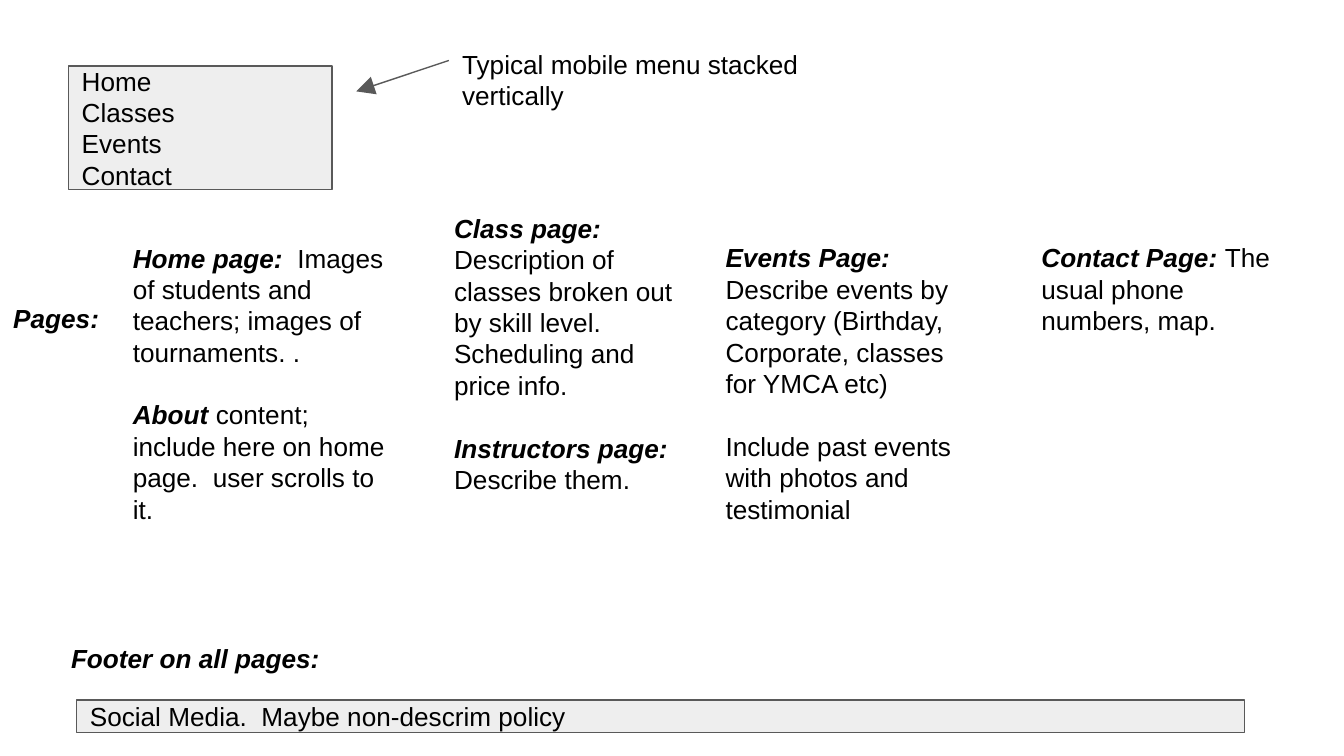
from lxml.etree import SubElement
from pptx import Presentation
from pptx.dml.color import RGBColor
from pptx.enum.shapes import MSO_CONNECTOR, MSO_SHAPE
from pptx.enum.text import MSO_ANCHOR, PP_ALIGN
from pptx.oxml.ns import qn
from pptx.util import Inches, Pt

WIDTH = 10
HEIGHT = WIDTH * 9 / 16
INSET = 0.1
BLACK, GREY, PALE = "000000", "595959", "EEEEEE"

# Each paragraph is a bold italic heading followed by plain text
COLUMNS = [
    ((0.89, 1.7, 2.14, 1.02), [
        ("Home page:  ", "Images of students and teachers; images of tournaments. . "),
        ("About ", "content; include here on home page.  user scrolls to it."),
    ]),
    ((3.28, 1.48, 1.91, 1.35), [
        ("Class page:", " Description of classes broken out by skill level.  "
                        "Scheduling and price info. "),
        ("Instructors page: ", "Describe them."),
    ]),
    ((5.3, 1.7, 1.91, 1.76), [
        ("Events Page: ", "Describe events by category (Birthday, Corporate, "
                          "classes for YMCA etc)"),
        ("", "Include past events with photos and testimonial"),
    ]),
    ((7.65, 1.7, 1.91, 1.76), [
        ("Contact Page: ", "The usual phone numbers, map."),
    ]),
]


def colour(value):
    return RGBColor.from_string(value)


def write(shape, paragraphs, gap=0, anchor=MSO_ANCHOR.TOP):
    frame = shape.text_frame
    frame.word_wrap = True
    frame.vertical_anchor = anchor
    frame.margin_left = frame.margin_right = Inches(INSET)
    frame.margin_top = frame.margin_bottom = Inches(INSET)
    for index, parts in enumerate(paragraphs):
        para = frame.add_paragraph() if index else frame.paragraphs[0]
        para.alignment = PP_ALIGN.LEFT
        para.space_before = Pt(gap if index else 0)
        for text, strong in zip(parts, (True, False)):
            if text:
                span = para.add_run()
                span.text = text
                span.font.name, span.font.size = "Arial", Pt(14)
                span.font.bold = span.font.italic = strong
                span.font.color.rgb = colour(BLACK)


def add_text(page, box, paragraphs, gap=0):
    shape = page.shapes.add_textbox(*map(Inches, box))
    write(shape, paragraphs, gap)


def add_panel(page, box, lines):
    panel = page.shapes.add_shape(MSO_SHAPE.RECTANGLE, *map(Inches, box))
    panel.shadow.inherit = False
    panel.fill.solid()
    panel.fill.fore_color.rgb = colour(PALE)
    panel.line.color.rgb = colour(GREY)
    panel.line.width = Pt(0.75)
    write(panel, [("", line) for line in lines], anchor=MSO_ANCHOR.MIDDLE)


def add_arrow(page, start, end):
    arrow = page.shapes.add_connector(
        MSO_CONNECTOR.STRAIGHT, *map(Inches, start + end))
    arrow.line.color.rgb = colour(GREY)
    arrow.line.width = Pt(0.75)
    SubElement(arrow.get_or_add_ln(), qn("a:tailEnd"),
               {"type": "triangle", "w": "lg", "len": "lg"})
    SubElement(arrow._element.spPr, qn("a:effectLst"))


def add_menu(page, left, top):
    """Stacked menu with an arrow from its explanation."""
    add_panel(page, (left, top, 1.96, 0.92),
              ["Home", "Classes", "Events", "Contact"])
    note_left = left + 2.83
    add_text(page, (note_left, top - 0.23, 2.84, 0.38),
             [("", "Typical mobile menu stacked vertically")])
    add_arrow(page, (note_left, top - 0.04), (left + 2.14, top + 0.19))


def add_pages(page):
    """Row label and one text column for each page of the site."""
    add_text(page, (0, 2.15, 0.89, 0.38), [("Pages:", "")])
    for box, paragraphs in COLUMNS:
        add_text(page, box, paragraphs, gap=16.8)


def add_footer(page, left, top):
    """Footer label above a wide bar."""
    add_text(page, (left, top, 3.19, 0.29), [("Footer on all pages:", "")])
    add_panel(page, (left + 0.14, top + 0.53, 8.69, 0.24),
              ["Social Media.  Maybe non-descrim policy"])


def main():
    deck = Presentation()
    deck.slide_width, deck.slide_height = Inches(WIDTH), Inches(HEIGHT)
    page = deck.slides.add_slide(deck.slide_layouts[6])
    add_menu(page, 0.51, 0.49)
    add_pages(page)
    add_footer(page, 0.43, 4.68)
    deck.save("out.pptx")


if __name__ == "__main__":
    main()
